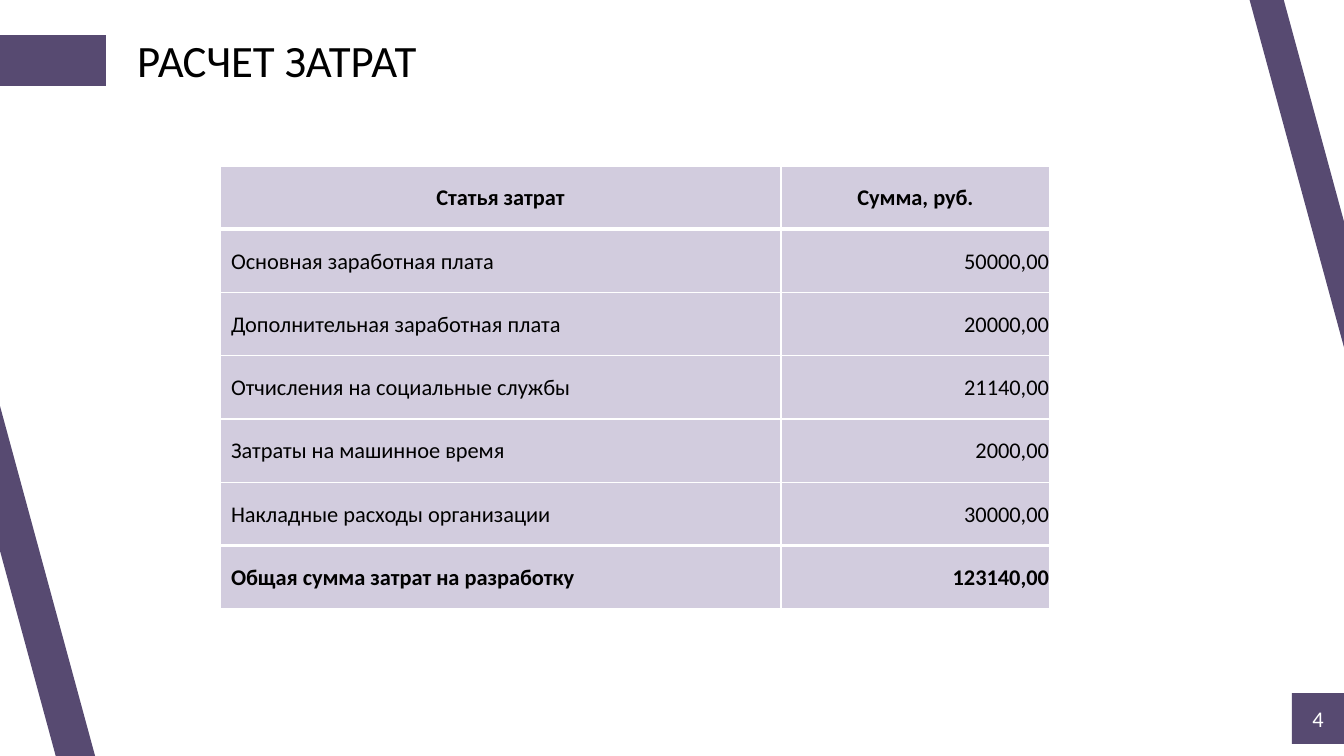
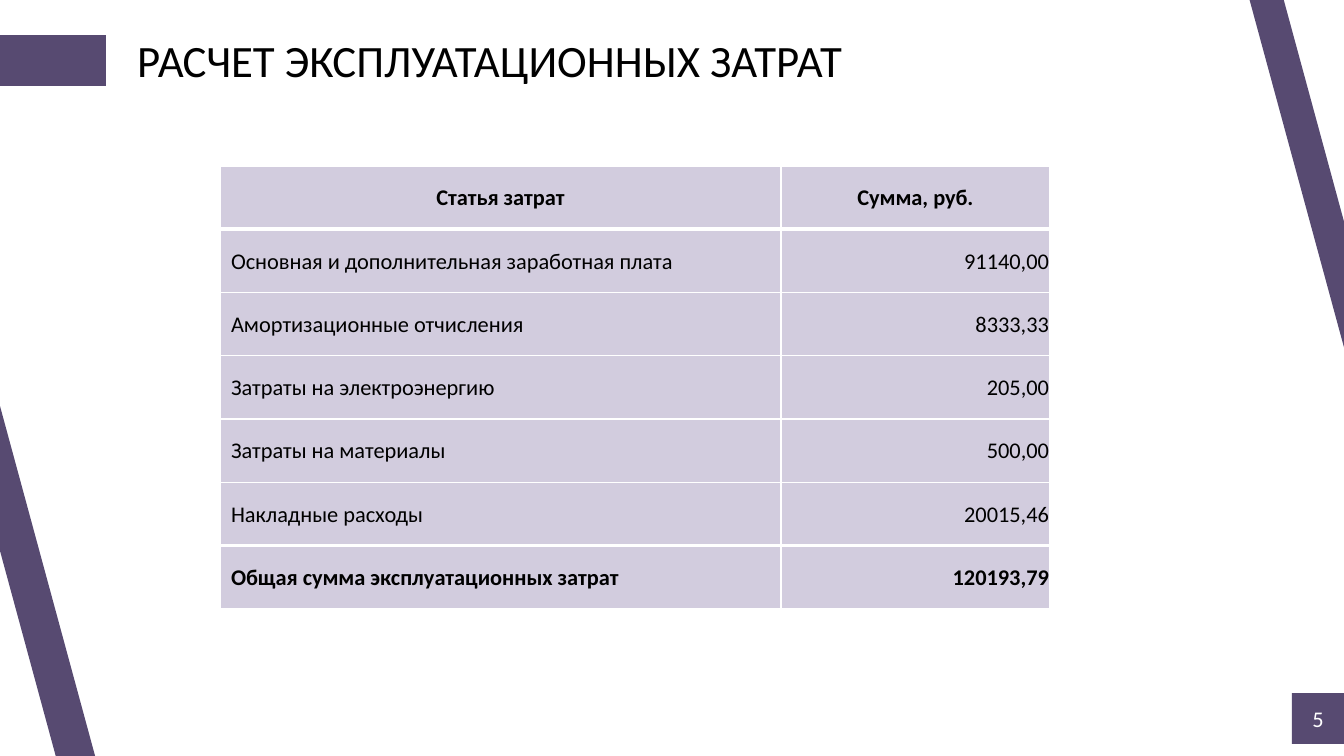
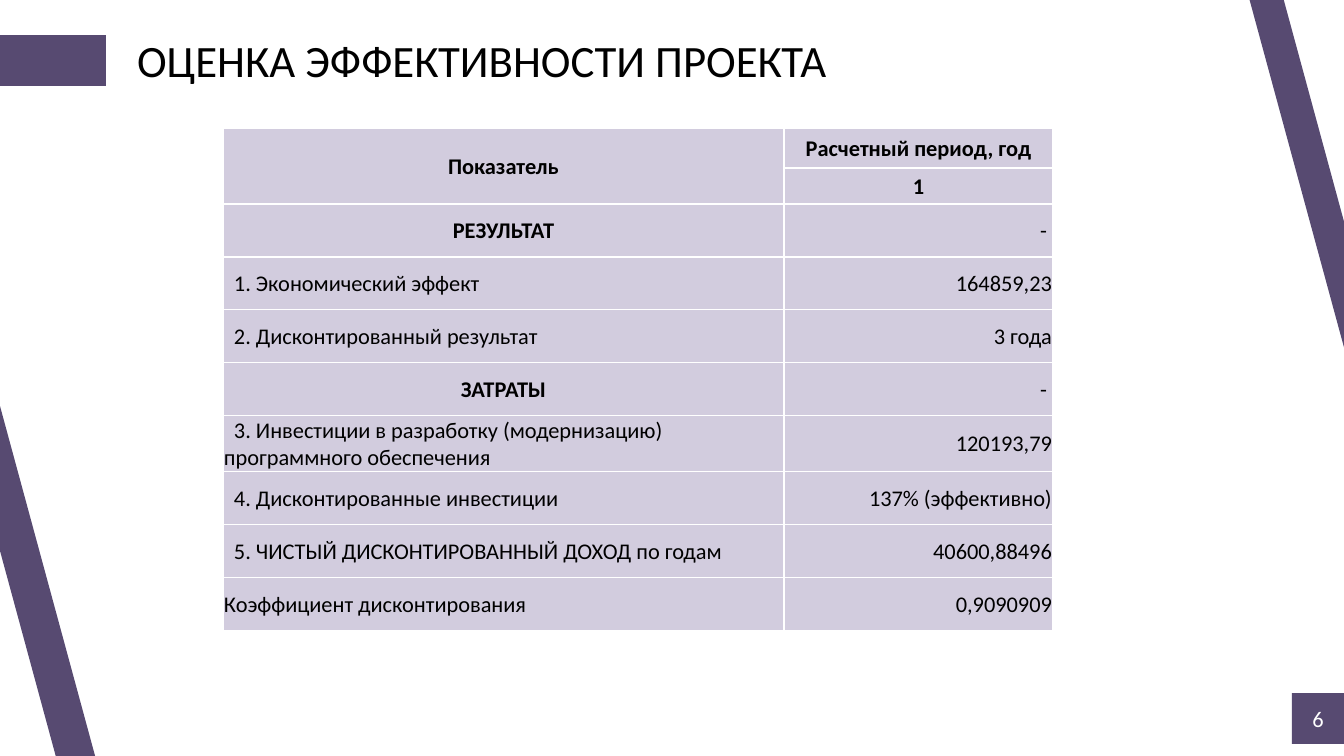
from lxml.etree import SubElement
from pptx import Presentation
from pptx.dml.color import RGBColor
from pptx.enum.shapes import MSO_SHAPE as SHAPE
from pptx.enum.text import MSO_ANCHOR as ANCHOR, MSO_AUTO_SIZE as AUTO, PP_ALIGN as ALIGN
from pptx.oxml.ns import qn
from pptx.util import Emu, Pt

WIDTH, HEIGHT = 1344, 756
PURPLE, LILAC, WHITE, BLACK = "574A71", "D2CCDE", "FFFFFF", "000000"
FONT = "Calibri"
COLUMNS = (561, 269)
INDENT = 10
FIRST_NUMBER = 4

# kind: ((label alignment, bold, indent), (value alignment, bold, indent))
KINDS = {
    "head": ((ALIGN.CENTER, True, 0), (ALIGN.CENTER, True, 0)),
    "item": ((ALIGN.LEFT, False, INDENT), (ALIGN.RIGHT, False, 0)),
    "plain": ((ALIGN.LEFT, False, 0), (ALIGN.RIGHT, False, 0)),
    "section": ((ALIGN.CENTER, True, 0), (ALIGN.RIGHT, False, 0)),
    "total": ((ALIGN.LEFT, True, INDENT), (ALIGN.RIGHT, True, 0)),
}

COSTS = [
    ("head", "Статья затрат", "Сумма, руб."),
    ("item", "Основная заработная плата", "50000,00"),
    ("item", "Дополнительная заработная плата", "20000,00"),
    ("item", "Отчисления на социальные службы", "21140,00"),
    ("item", "Затраты на машинное время", "2000,00"),
    ("item", "Накладные расходы организации", "30000,00"),
    ("total", "Общая сумма затрат на разработку", "123140,00"),
]
RUNNING_COSTS = [
    ("head", "Статья затрат", "Сумма, руб."),
    ("item", "Основная и дополнительная заработная плата", "91140,00"),
    ("item", "Амортизационные отчисления", "8333,33"),
    ("item", "Затраты на электроэнергию", "205,00"),
    ("item", "Затраты на материалы", "500,00"),
    ("item", "Накладные расходы", "20015,46"),
    ("total", "Общая сумма эксплуатационных затрат", "120193,79"),
]
EFFICIENCY = [
    ("head", "Показатель", "Расчетный период, год"),
    ("head", "", "1"),
    ("section", "РЕЗУЛЬТАТ", "- "),
    ("item", "1. Экономический эффект", "164859,23"),
    ("item", "2. Дисконтированный результат", "3 года"),
    ("section", "ЗАТРАТЫ", "- "),
    ("item", "3. Инвестиции в разработку (модернизацию) программного обеспечения",
     "120193,79"),
    ("item", "4. Дисконтированные инвестиции", "137% (эффективно)"),
    ("item", "5. ЧИСТЫЙ ДИСКОНТИРОВАННЫЙ ДОХОД по годам", "40600,88496"),
    ("plain", "Коэффициент дисконтирования", "0,9090909"),
]


def px(n):
    """Turn pixels into EMU."""
    return Emu(round(n * 914400 / 100.8))


def rgb(color):
    """Turn a hex string into a colour."""
    return RGBColor.from_string(color)


def style(p, size, color, align=ALIGN.LEFT, bold=False):
    """Format a whole paragraph."""
    p.alignment = align
    p.font.name, p.font.size, p.font.bold = FONT, Pt(size), bold
    p.font.color.rgb = rgb(color)


def add_block(s, x, y, w, h, rotation=0):
    """Add a plain purple rectangle."""
    sp = s.shapes.add_shape(SHAPE.RECTANGLE, px(x), px(y), px(w), px(h))
    sp.shadow.inherit = False
    sp.rotation = rotation
    sp.fill.solid()
    sp.fill.fore_color.rgb = rgb(PURPLE)
    sp.line.fill.background()
    return sp


def add_frame(s, number):
    """Add the slanted bands, the title marker and the numbered badge."""
    add_block(s, 1085, 161, 460, 33, 254.8)
    add_block(s, -240, 533, 520, 38, 254.8)
    add_block(s, 0, 35, 106, 51)
    tf = add_block(s, WIDTH - 52, 693, 52, 51).text_frame
    tf.margin_left = tf.margin_right = 0
    tf.vertical_anchor = ANCHOR.MIDDLE
    p = tf.paragraphs[0]
    p.text = str(number)
    style(p, 16, WHITE, ALIGN.CENTER)


def set_title(s, text):
    """Place and format the title placeholder."""
    sp = s.shapes.title
    sp.left, sp.top, sp.width, sp.height = px(127), px(28), px(1000), px(64)
    tf = sp.text_frame
    tf.text = text
    tf.auto_size = AUTO.NONE
    tf.vertical_anchor = ANCHOR.TOP
    style(tf.paragraphs[0], 32, BLACK)


def set_borders(cell, top, bottom):
    """Draw white borders with the given top and bottom widths in points."""
    tc_pr = cell._tc.get_or_add_tcPr()
    for side, width in (("L", 1), ("R", 1), ("T", top), ("B", bottom)):
        ln = SubElement(tc_pr, qn(f"a:ln{side}"), w=str(Pt(width)))
        SubElement(SubElement(ln, qn("a:solidFill")), qn("a:srgbClr"), val=WHITE)


def fill_cell(cell, text, align, bold, indent):
    """Write and format one table cell."""
    cell.fill.solid()
    cell.fill.fore_color.rgb = rgb(LILAC)
    cell.vertical_anchor = ANCHOR.MIDDLE
    cell.margin_left = cell.margin_right = cell.margin_top = px(1)
    cell.margin_bottom = 0
    p = cell.text_frame.paragraphs[0]
    p.text = text
    if indent:
        p_pr = p._p.get_or_add_pPr()
        p_pr.set("marL", "0")
        p_pr.set("indent", str(px(indent)))
    style(p, 16, BLACK, align, bold)


def add_grid(s, rows, x, y, h, head_heights=(), heavy=()):
    """Add a two-column table; heavy lists the thick lines by row index."""
    n = len(rows)
    table = s.shapes.add_table(n, 2, px(x), px(y), px(sum(COLUMNS)), px(h)).table
    table.first_row = table.horz_banding = False
    for column, w in zip(table.columns, COLUMNS):
        column.width = px(w)
    rest = n - len(head_heights)
    heights = [*head_heights] + [(h - sum(head_heights)) / rest] * rest
    for i, (kind, *texts) in enumerate(rows):
        table.rows[i].height = px(heights[i])
        top, bottom = (3 if line in heavy else 1 for line in (i, i + 1))
        for j, (text, look) in enumerate(zip(texts, KINDS[kind])):
            cell = table.cell(i, j)
            set_borders(cell, top, bottom)
            fill_cell(cell, text, *look)
    return table


def add_page(prs, number, title):
    """Add a slide with the shared frame and title."""
    s = prs.slides.add_slide(prs.slide_layouts[5])
    add_frame(s, number)
    set_title(s, title)
    return s


def add_cost_slide(prs, number, title, rows):
    """Add a slide with a list of costs and their total."""
    s = add_page(prs, number, title)
    add_grid(s, rows, 220, 166, 443, heavy=(1, len(rows) - 1))


def add_efficiency_slide(prs, number, title, rows):
    """Add a slide with indicators under a two-row heading."""
    s = add_page(prs, number, title)
    table = add_grid(s, rows, 223, 128, 500, head_heights=(40, 36))
    table.cell(0, 0).merge(table.cell(1, 0))


def main():
    """Build the presentation."""
    prs = Presentation()
    prs.slide_width, prs.slide_height = px(WIDTH), px(HEIGHT)
    pages = [
        (add_cost_slide, "РАСЧЕТ ЗАТРАТ", COSTS),
        (add_cost_slide, "РАСЧЕТ ЭКСПЛУАТАЦИОННЫХ ЗАТРАТ", RUNNING_COSTS),
        (add_efficiency_slide, "ОЦЕНКА ЭФФЕКТИВНОСТИ ПРОЕКТА", EFFICIENCY),
    ]
    for number, (add, title, rows) in enumerate(pages, FIRST_NUMBER):
        add(prs, number, title, rows)
    prs.save("out.pptx")


if __name__ == "__main__":
    main()
